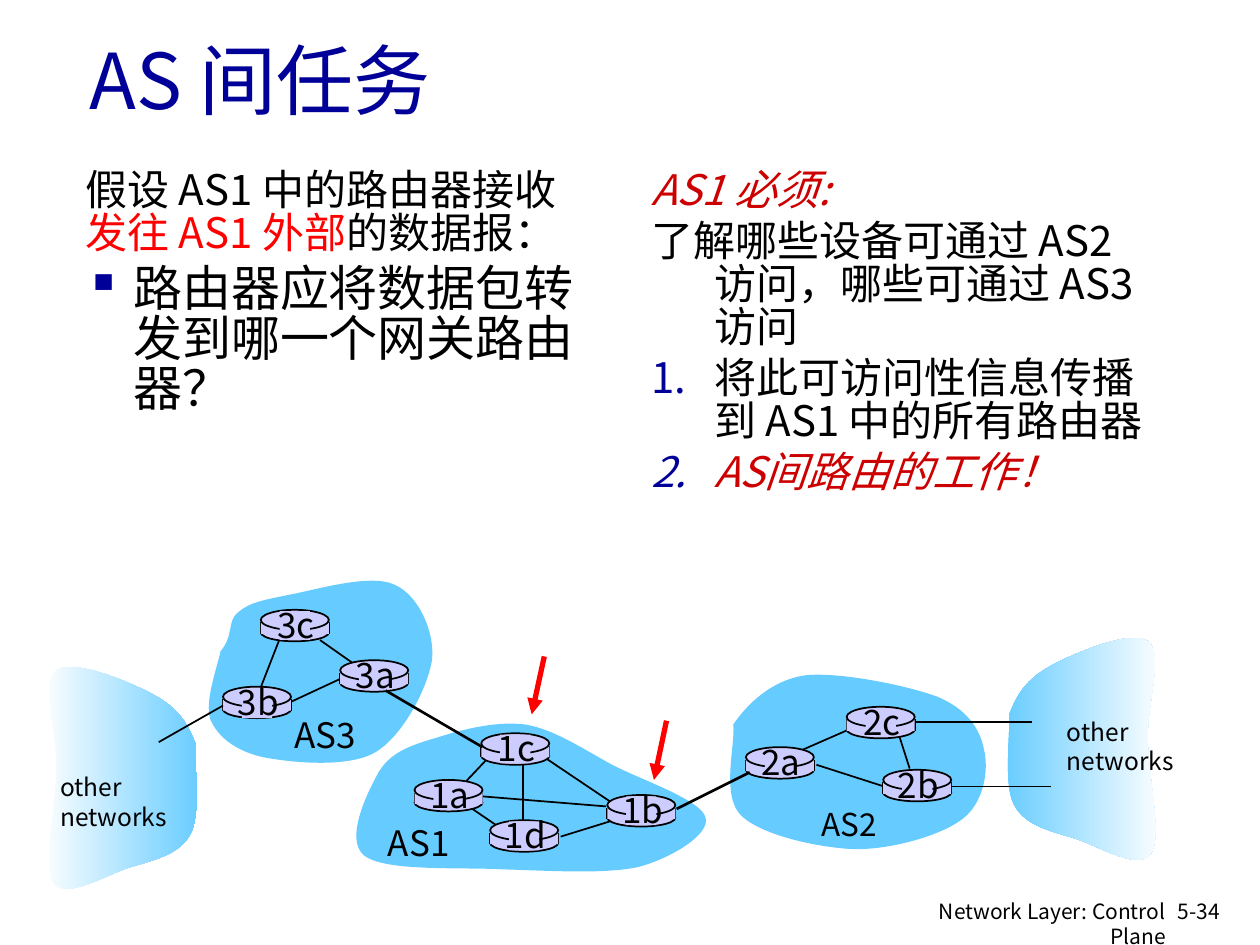
from dataclasses import dataclass

from lxml import etree
from pptx import Presentation
from pptx.dml import color as dml_color
from pptx.enum import shapes as shape_kinds, text as text_kinds
from pptx.oxml import ns
from pptx.util import Inches, Pt

FONT = "Noto Sans CJK SC"
BLACK, NAVY, RED, CRIMSON = "000000", "000099", "FF0000", "CC0000"
SKY, LILAC, WHITE = "66CCFF", "CCCCFF", "FFFFFF"


@dataclass
class Run:
    text: str
    size: float = 24
    color: str = BLACK
    italic: bool = False


@dataclass
class Para:
    runs: list[Run]
    indent: float = 0
    bullet: str = ""


@dataclass
class Link:
    start: tuple[float, float]
    end: tuple[float, float]
    width: float = 1
    color: str = BLACK
    arrow: bool = False


@dataclass
class Router:
    name: str
    x: float
    y: float
    plate_top: float
    plate_height: float


@dataclass
class Label:
    lines: list[str]
    box: tuple[float, float, float, float]
    size: float


def rgb(value: str) -> dml_color.RGBColor:
    return dml_color.RGBColor.from_string(value)


def child(parent, tag: str, **attributes: str):
    return etree.SubElement(parent, ns.qn(tag), **attributes)


def add_run(paragraph, item: Run) -> None:
    run = paragraph.add_run()
    run.text = item.text
    font = run.font
    font.size, font.italic, font.bold = Pt(item.size), item.italic, False
    font.color.rgb = rgb(item.color)
    font.name = FONT
    east_asian = etree.Element(ns.qn("a:ea"), typeface=FONT)
    run._r.rPr.find(ns.qn("a:latin")).addnext(east_asian)


def add_text(shapes, box, paragraphs: list[Para], wrap=True, align=text_kinds.PP_ALIGN.LEFT):
    frame = shapes.add_textbox(*map(Inches, box)).text_frame
    frame.word_wrap = wrap
    for index, item in enumerate(paragraphs):
        paragraph = frame.add_paragraph() if index else frame.paragraphs[0]
        paragraph.alignment = align
        for run in item.runs:
            add_run(paragraph, run)
    return frame


def add_body(shapes, box, paragraphs: list[Para]) -> None:
    frame = add_text(shapes, box, paragraphs)
    for paragraph, item in zip(frame.paragraphs, paragraphs):
        paragraph.line_spacing = 0.85
        paragraph.space_before = Pt(0.2 * item.runs[0].size)
        properties = paragraph._p.get_or_add_pPr()
        properties.set("marL", str(Inches(item.indent)))
        properties.set("indent", str(-Inches(item.indent)))
        if item.bullet:
            child(child(properties, "a:buClr"), "a:srgbClr", val=NAVY)
            if item.bullet == "1.":
                child(properties, "a:buFont", typeface=FONT)
                child(properties, "a:buAutoNum", type="arabicPeriod")
            else:
                child(properties, "a:buChar", char=item.bullet)


def add_label(shapes, label: Label, align=text_kinds.PP_ALIGN.LEFT) -> None:
    paragraphs = [Para([Run(line, label.size)]) for line in label.lines]
    frame = add_text(shapes, label.box, paragraphs, False, align)
    frame.auto_size = text_kinds.MSO_AUTO_SIZE.SHAPE_TO_FIT_TEXT


def add_link(shapes, link: Link) -> None:
    connector = shapes.add_connector(
        shape_kinds.MSO_CONNECTOR.STRAIGHT, *map(Inches, link.start + link.end))
    connector.line.width = Pt(link.width)
    connector.line.color.rgb = rgb(link.color)
    if link.arrow:
        child(connector.line._get_or_add_ln(), "a:tailEnd", type="triangle")
    child(connector._element.spPr, "a:effectLst")


def add_solid(shapes, kind, box, outlined: bool) -> None:
    solid = shapes.add_shape(kind, *map(Inches, box))
    solid.shadow.inherit = False
    solid.fill.solid()
    solid.fill.fore_color.rgb = rgb(LILAC)
    if outlined:
        solid.line.color.rgb = rgb(BLACK)
        solid.line.width = Pt(1)
    else:
        solid.line.fill.background()


def add_cloud(shapes, points, colors: list[str]) -> None:
    start, *rest = [(Inches(x), Inches(y)) for x, y in points]
    builder = shapes.build_freeform(*start)
    builder.add_line_segments(rest, close=True)
    cloud = builder.convert_to_shape()
    outline = cloud._element.find(".//" + ns.qn("a:path"))
    segments = outline.findall(ns.qn("a:lnTo"))
    for first in range(0, len(segments), 3):
        curve = etree.Element(ns.qn("a:cubicBezTo"))
        segments[first].addprevious(curve)
        for segment in segments[first:first + 3]:
            curve.append(segment[0])
            outline.remove(segment)
    cloud.shadow.inherit = False
    cloud.line.fill.background()
    if len(colors) == 1:
        cloud.fill.solid()
        cloud.fill.fore_color.rgb = rgb(colors[0])
    else:
        cloud.fill.gradient()
        cloud.fill.gradient_angle = 0
        for stop, value in zip(cloud.fill.gradient_stops, colors):
            stop.color.rgb = rgb(value)


def add_router(shapes, router: Router) -> None:
    parts = shapes.add_group_shape().shapes
    kinds = shape_kinds.MSO_SHAPE
    x, y, width = router.x, router.y, 0.54
    add_solid(parts, kinds.OVAL, (x, y + 0.11, width, 0.14), True)
    for side in (x, x + width):
        add_link(parts, Link((side, y + 0.1), (side, y + 0.19)))
    add_solid(parts, kinds.RECTANGLE, (x, y + 0.1, width, 0.09), False)
    add_solid(parts, kinds.OVAL, (x, y, width, 0.16), True)
    add_solid(parts, kinds.RECTANGLE,
              (x + 0.15, y + router.plate_top, 0.24, router.plate_height), False)
    add_label(parts, Label([router.name], (x - 0.02, y - 0.1, 0.6, 0.44), 20),
              text_kinds.PP_ALIGN.CENTER)


EAST = [(8.01, 5.67), (8.07, 5.51), (8.15, 5.39), (8.33, 5.29), (8.51, 5.19), (8.98, 4.99),
        (9.11, 5.09), (9.24, 5.18), (9.1, 5.59), (9.11, 5.87), (9.11, 6.16), (9.23, 6.65),
        (9.13, 6.78), (9.04, 6.91), (8.73, 6.72), (8.55, 6.66), (8.36, 6.6), (8.14, 6.56),
        (8.05, 6.39), (7.96, 6.23), (8.02, 5.82), (8.01, 5.67)]
WEST = [(9.56 - x, y + 0.23) for x, y in EAST]
AS2 = [(5.82, 5.75), (5.93, 5.59), (6.12, 5.4), (6.39, 5.36), (6.66, 5.33), (7.2, 5.44),
       (7.44, 5.53), (7.68, 5.63), (7.78, 5.79), (7.81, 5.95), (7.85, 6.11), (7.81, 6.37),
       (7.64, 6.5), (7.47, 6.63), (7.09, 6.74), (6.79, 6.74), (6.5, 6.73), (6.04, 6.63),
       (5.88, 6.47), (5.72, 6.31), (5.84, 5.9), (5.82, 5.75)]
AS3 = [(1.75, 5.17), (1.86, 5.04), (1.8, 4.93), (1.89, 4.86), (1.98, 4.78), (2.1, 4.76),
       (2.3, 4.72), (2.51, 4.68), (2.94, 4.55), (3.13, 4.64), (3.32, 4.72), (3.45, 5.01),
       (3.43, 5.23), (3.4, 5.45), (3.2, 5.84), (2.98, 5.97), (2.76, 6.1), (2.3, 6.05),
       (2.09, 6.01), (1.87, 5.96), (1.73, 5.85), (1.67, 5.71), (1.62, 5.57), (1.73, 5.28),
       (1.75, 5.17)]
AS1 = [(3.01, 6.12), (3.11, 5.96), (3.28, 5.91), (3.48, 5.85), (3.67, 5.79), (3.94, 5.72),
       (4.17, 5.75), (4.4, 5.79), (4.62, 5.94), (4.86, 6.07), (5.09, 6.19), (5.57, 6.35),
       (5.6, 6.49), (5.64, 6.62), (5.33, 6.81), (5.07, 6.88), (4.8, 6.94), (4.36, 6.91),
       (4, 6.9), (3.64, 6.88), (3.06, 6.92), (2.89, 6.79), (2.73, 6.66), (2.92, 6.28),
       (3.01, 6.12)]
CLOUDS = [(EAST, [SKY, WHITE]), (AS2, [SKY]), (AS3, [SKY]), (AS1, [SKY]), (WEST, [WHITE, SKY])]
INNER_LINKS = [
    Link((2.31, 5.57), (2.74, 5.37)), Link((2.81, 5.27), (2.54, 5.08)),
    Link((2.22, 5.07), (2.06, 5.48)), Link((3.87, 6.02), (3.7, 6.2)),
    Link((4.15, 6.06), (4.15, 6.56)), Link((4.32, 6.01), (4.87, 6.38)),
    Link((4.87, 6.51), (4.45, 6.64)), Link((4.81, 6.4), (3.82, 6.32)),
    Link((3.72, 6.4), (3.94, 6.55)), Link((6.28, 5.99), (6.76, 5.78)),
    Link((6.48, 6.07), (7.01, 6.24)), Link((7.14, 5.85), (7.22, 6.1)),
    Link((7.26, 5.73), (8.19, 5.73), 0.75), Link((7.53, 6.24), (8.34, 6.24), 0.75)]
OUTER_LINKS = [
    Link((1.77, 5.6), (1.26, 5.89)), Link((5.37, 6.42), (5.95, 6.13), 1.5),
    Link((3.06, 5.48), (3.83, 5.93), 1.5),
    Link((4.32, 5.21), (4.22, 5.67), 3, RED, True),
    Link((5.29, 5.72), (5.19, 6.19), 3, RED, True)]
ROUTERS = [
    Router("3b", 1.77, 5.45, 0.03, 0.22), Router("3c", 2.07, 4.84, 0.01, 0.23),
    Router("3a", 2.7, 5.24, 0.03, 0.19), Router("1c", 3.82, 5.82, 0.01, 0.23),
    Router("1a", 3.29, 6.19, 0.05, 0.17), Router("1d", 3.89, 6.51, 0.01, 0.23),
    Router("1b", 4.82, 6.31, 0.01, 0.23), Router("2a", 5.92, 5.93, 0.02, 0.21),
    Router("2c", 6.72, 5.61, 0.02, 0.2), Router("2b", 7.01, 6.11, 0.02, 0.19)]
LABELS = [
    Label(["AS3"], (2.24, 5.61, 0.73, 0.43), 20), Label(["AS2"], (6.42, 6.34, 0.67, 0.4), 18),
    Label(["AS1"], (2.98, 6.47, 0.73, 0.43), 20),
    Label(["other", "networks"], (8.37, 5.64, 1.06, 0.57), 14),
    Label(["other", "networks"], (0.38, 6.08, 1.06, 0.57), 14)]
SCENARIO = [
    Para([Run("假设 AS1 中的路由器接收"), Run("发往 AS1 外部", color=RED), Run("的数据报：")]),
    Para([Run("路由器应将数据包转发到哪一个网关路由器？", 28)], 0.38, "▪")]
DUTIES = [
    Para([Run("AS1 必须:", color=CRIMSON, italic=True)], 0.5),
    Para([Run("了解哪些设备可通过 AS2 访问，哪些可通过 AS3 访问")], 0.5),
    Para([Run("将此可访问性信息传播到 AS1 中的所有路由器")], 0.5, "1."),
    Para([Run("AS间路由的工作！", color=CRIMSON, italic=True)], 0.5, "1.")]


def main() -> None:
    deck = Presentation()
    deck.slide_width, deck.slide_height = Inches(10), Inches(7.5)
    shapes = deck.slides.add_slide(deck.slide_layouts[5]).shapes
    title = shapes.title
    title.left, title.top, title.width, title.height = map(Inches, (0.61, 0, 8.5, 1.25))
    title.text_frame.vertical_anchor = text_kinds.MSO_ANCHOR.MIDDLE
    heading = title.text_frame.paragraphs[0]
    heading.alignment = text_kinds.PP_ALIGN.LEFT
    add_run(heading, Run("AS 间任务", 44, NAVY))
    add_body(shapes, (0.58, 1.31, 4.17, 3.19), SCENARIO)
    add_body(shapes, (5.07, 1.31, 4.17, 5.08), DUTIES)
    for points, colors in CLOUDS:
        add_cloud(shapes, points, colors)
    for label in LABELS:
        add_label(shapes, label)
    for link in INNER_LINKS:
        add_link(shapes, link)
    for router in ROUTERS:
        add_router(shapes, router)
    for link in OUTER_LINKS:
        add_link(shapes, link)
    add_text(shapes, (9.25, 7.08, 0.6, 0.3), [Para([Run("5-34", 12)])])
    add_text(shapes, (6.97, 7.08, 2.38, 0.26), [Para([Run("Network Layer: Control Plane", 12)])],
             align=text_kinds.PP_ALIGN.RIGHT)
    deck.save("out.pptx")


if __name__ == "__main__":
    main()
